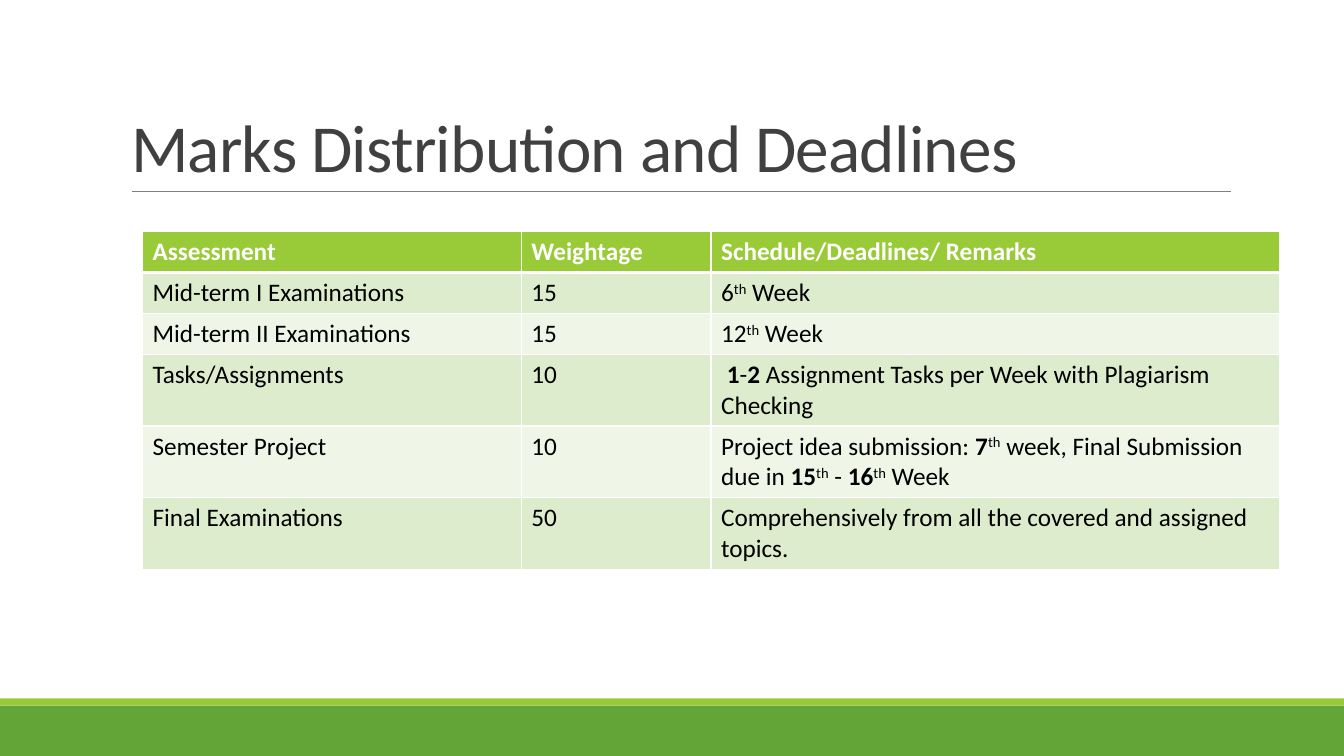
from dataclasses import dataclass

from lxml.etree import SubElement
from pptx import Presentation
from pptx.dml.color import RGBColor
from pptx.enum.shapes import MSO_CONNECTOR, MSO_SHAPE
from pptx.enum.text import MSO_ANCHOR, MSO_AUTO_SIZE, PP_ALIGN
from pptx.oxml.ns import qn
from pptx.util import Cm, Pt


@dataclass(frozen=True)
class Theme:
    font: str = "Calibri"
    title_size: int = 48
    table_size: int = 18
    title: str = "404040"
    body: str = "000000"
    white: str = "FFFFFF"
    rule: str = "808080"
    green: str = "63A537"
    lime: str = "99CB38"
    bands: tuple = ("DEECCE", "EFF6E8")


theme = Theme()
BOLD, SUPERSCRIPT = "bold", "superscript"


def add_run(paragraph, text, size, color, bold=False):
    run = paragraph.add_run()
    run.text = text
    run.font.name = theme.font
    run.font.size = Pt(size)
    run.font.bold = bold
    run.font.color.rgb = RGBColor.from_string(color)
    return run


def set_border(cell, side, width):
    line = SubElement(cell._tc.get_or_add_tcPr(), qn(f"a:ln{side}"), w=str(Pt(width)))
    fill = SubElement(line, qn("a:solidFill"))
    SubElement(fill, qn("a:srgbClr"), val=theme.white)


presentation = Presentation()
presentation.slide_width = Cm(33.87)
presentation.slide_height = Cm(19.05)
slide = presentation.slides.add_slide(presentation.slide_layouts[5])

# Footer bands
for top, height, color in ((17.78, 1.27, theme.green), (17.6, 0.18, theme.lime)):
    band = slide.shapes.add_shape(
        MSO_SHAPE.RECTANGLE, 0, Cm(top), presentation.slide_width, Cm(height))
    band.shadow.inherit = False
    band.fill.solid()
    band.fill.fore_color.rgb = RGBColor.from_string(color)
    band.line.fill.background()

# Rule under the title
rule = slide.shapes.add_connector(
    MSO_CONNECTOR.STRAIGHT, Cm(3.32), Cm(4.82), Cm(31.01), Cm(4.82))
rule.line.color.rgb = RGBColor.from_string(theme.rule)
rule.line.width = Pt(0.5)
SubElement(rule._element.spPr, qn("a:effectLst"))

# Title
title = slide.shapes.title
title.left, title.top, title.width, title.height = Cm(3.05), Cm(0.8), Cm(27.94), Cm(4.03)
title.text_frame.word_wrap = True
title.text_frame.auto_size = MSO_AUTO_SIZE.NONE
title.text_frame.vertical_anchor = MSO_ANCHOR.BOTTOM
paragraph = title.text_frame.paragraphs[0]
paragraph.alignment = PP_ALIGN.LEFT
paragraph.line_spacing = 0.85
run = add_run(paragraph, "Marks Distribution and Deadlines", theme.title_size, theme.title)
run.font._element.set("spc", "-50")

# Table content: each cell is a list of (text, style) runs
TH = ("th", SUPERSCRIPT)
rows = [
    [[("Assessment", BOLD)], [("Weightage", BOLD)], [("Schedule/Deadlines/ Remarks", BOLD)]],
    [[("Mid-term I Examinations", None)], [("15", None)],
     [("6", None), TH, (" Week", None)]],
    [[("Mid-term II Examinations", None)], [("15", None)],
     [("12", None), TH, (" Week", None)]],
    [[("Tasks/Assignments", None)], [("10", None)],
     [(" ", None), ("1", BOLD), ("-", None), ("2", BOLD),
      (" Assignment Tasks per Week with Plagiarism Checking", None)]],
    [[("Semester Project", None)], [("10", None)],
     [("Project idea submission: ", None), ("7", BOLD), TH,
      (" week, Final Submission due in ", None), ("15", BOLD), TH, (" - ", None),
      ("16", BOLD), TH, (" Week", None)]],
    [[("Final Examinations", None)], [("50", None)],
     [("Comprehensively from all the covered and assigned topics.", None)]],
]
column_widths = (9.55, 4.78, 14.33)
row_height = 1.03

# Table
table = slide.shapes.add_table(
    len(rows), len(column_widths), Cm(3.59), Cm(5.84),
    Cm(sum(column_widths)), Cm(row_height * len(rows))).table
for column, width in zip(table.columns, column_widths):
    column.width = Cm(width)

for row_index, row in enumerate(rows):
    is_header = row_index == 0
    fill_color = theme.lime if is_header else theme.bands[(row_index - 1) % 2]
    text_color = theme.white if is_header else theme.body
    for column_index, runs in enumerate(row):
        cell = table.cell(row_index, column_index)
        for side in "LRTB":
            under_header = (row_index, side) in ((0, "B"), (1, "T"))
            set_border(cell, side, 3 if under_header else 1)
        cell.fill.solid()
        cell.fill.fore_color.rgb = RGBColor.from_string(fill_color)
        for text, style in runs:
            run = add_run(cell.text_frame.paragraphs[0], text, theme.table_size,
                          text_color, style == BOLD)
            if style == SUPERSCRIPT:
                run.font._element.set("baseline", "30000")

presentation.save("out.pptx")
